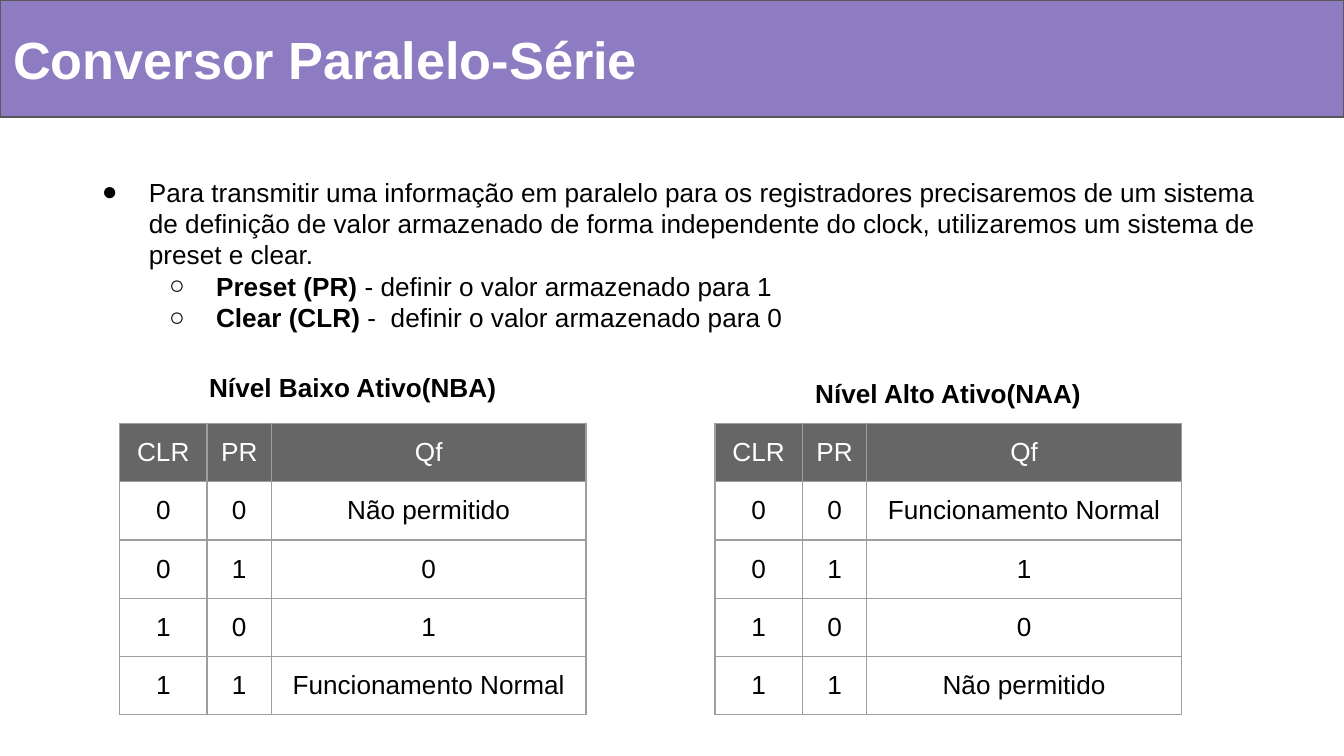
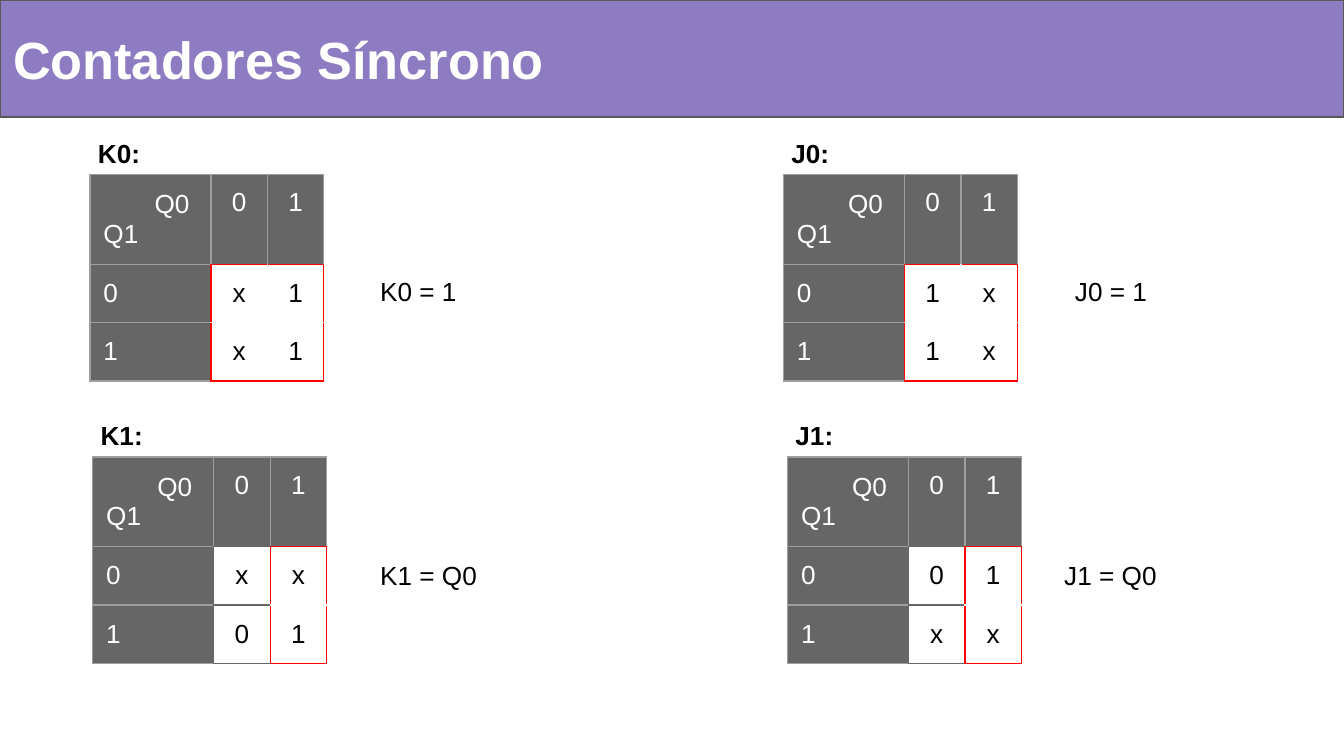
from lxml import etree
from pptx import Presentation
from pptx import util as u
from pptx.dml.color import RGBColor
from pptx.enum import shapes, text
from pptx.oxml import ns

FONT = "Arial"
PURPLE, DARK, GRAY = "8E7CC3", "595959", "666666"
WHITE, BLACK = "FFFFFF", "000000"
BORDERS = {"g": "9E9E9E", "d": GRAY, "r": "FF0000", "w": WHITE}
CENTER = text.PP_ALIGN.CENTER
TOP, MIDDLE = text.MSO_ANCHOR.TOP, text.MSO_ANCHOR.MIDDLE


def paint(fill, color):
    fill.solid()
    fill.fore_color.rgb = RGBColor.from_string(color)


def write(frame, content, lead="", size=14, color=BLACK, bold=False, align=None,
          indent=0, bullet=None, anchor=TOP):
    """Add one paragraph, with an optional bold lead, to a box or a cell."""
    frame.word_wrap = True
    frame.vertical_anchor = anchor
    frame.margin_left = frame.margin_right = u.Inches(0.1)
    frame.margin_top = frame.margin_bottom = u.Inches(0.1)
    paragraph = frame.paragraphs[0]
    if paragraph.runs:
        paragraph = frame.add_paragraph()
    paragraph.alignment = align
    paragraph.line_spacing = 1.0
    properties = paragraph._p.get_or_add_pPr()
    if indent:
        properties.set("marL", str(u.Inches(indent)))
    if bullet:
        properties.set("indent", str(u.Inches(-0.35)))
        bullet_color = etree.SubElement(properties, ns.qn("a:buClr"))
        etree.SubElement(bullet_color, ns.qn("a:srgbClr"), val=color)
        etree.SubElement(properties, ns.qn("a:buSzPts"), val=str(size * 100))
        etree.SubElement(properties, ns.qn("a:buFont"), typeface=FONT)
        etree.SubElement(properties, ns.qn("a:buChar"), char=bullet)
    for part, is_bold in ((lead, True), (content, bold)):
        if part:
            run = paragraph.add_run()
            run.text = part
            run.font.name, run.font.size, run.font.bold = FONT, u.Pt(size), is_bold
            paint(run.font.fill, color)


presentation = Presentation()
presentation.slide_width = u.Inches(10)
presentation.slide_height = u.Inches(10 * 9 / 16)

# Slides with their title bands
slides = []
for title in ("Conversor Paralelo-Série", "Contadores Síncrono"):
    slide = presentation.slides.add_slide(presentation.slide_layouts[6])
    band = slide.shapes.add_shape(shapes.MSO_SHAPE.RECTANGLE, 0, 0,
                                  u.Inches(10), u.Inches(0.87))
    band.shadow.inherit = False
    paint(band.fill, PURPLE)
    paint(band.line.fill, DARK)
    band.line.width = u.Pt(0.75)
    write(band.text_frame, title, size=28, color=WHITE, bold=True,
          align=text.PP_ALIGN.LEFT, anchor=MIDDLE)
    slides.append(slide)
preset_slide, counter_slide = slides

# Explanation of preset and clear
body = preset_slide.shapes.add_textbox(u.Inches(0.51), u.Inches(1.21),
                                       u.Inches(9.04), u.Inches(1.41)).text_frame
write(body, "Para transmitir uma informação em paralelo para os registradores "
      "precisaremos de um sistema de definição de valor armazenado de forma "
      "independente do clock, utilizaremos um sistema de preset e clear.",
      indent=0.5, bullet="●")
for lead, meaning in (("Preset (PR)", " - definir o valor armazenado para 1"),
                      ("Clear (CLR)", " -  definir o valor armazenado para 0")):
    write(body, meaning, lead=lead, indent=1, bullet="○")
    body.paragraphs[-1].level = 1

# Truth tables: left and the Qf column
tables = []
inputs = [("0", "0"), ("0", "1"), ("1", "0"), ("1", "1")]
for left, outputs in (
        (0.89, ["Não permitido", "0", "1", "Funcionamento Normal"]),
        (5.32, ["Funcionamento Normal", "1", "0", "Não permitido"])):
    rows = [("CLR", "PR", "Qf")]
    rows += [(*pair, output) for pair, output in zip(inputs, outputs)]
    tables.append((preset_slide, left, 3.15, (0.65, 0.48, 2.34),
                   (0.42, 0.43, 0.42, 0.42, 0.42), rows, [["gggg"] * 3] * 5))

# Karnaugh maps: border colours of each cell are left, right, top, bottom
whole_group = [("gggg", "gggr", "gggr"), ("grgg", "rwrw", "wrrw"),
               ("grgg", "rwwr", "wrwr")]
right_group = [("gggg", "gggd", "gggr"), ("gdgg", "drdd", "rrrw"),
               ("gdgg", "drdd", "rrwr")]
maps = [
    ("K0:", 0.67, 1.3, "x1", "x1", whole_group),
    ("K1:", 0.69, 3.4, "xx", "01", right_group),
    ("J0:", 5.83, 1.3, "1x", "1x", whole_group),
    ("J1:", 5.86, 3.4, "01", "xx", right_group),
]
for name, left, top, first, second, borders in maps:
    rows = [("Q0\nQ1", "0", "1"), ("0", *first), ("1", *second)]
    tables.append((counter_slide, left, top, (0.9, 0.42, 0.42),
                   (0.25, 0.32, 0.32), rows, borders))

# Draw all tables
for slide, left, top, widths, heights, rows, borders in tables:
    is_map = slide is counter_slide
    table = slide.shapes.add_table(
        len(rows), len(widths), u.Inches(left), u.Inches(top),
        u.Inches(sum(widths)), u.Inches(sum(heights))).table
    table.first_row = table.horz_banding = False
    for column, width in zip(table.columns, widths):
        column.width = u.Inches(width)
    for r, values in enumerate(rows):
        table.rows[r].height = u.Inches(heights[r])
        for c, value in enumerate(values):
            cell = table.cell(r, c)
            is_header = r == 0 or (is_map and c == 0)
            cell_properties = cell._tc.get_or_add_tcPr()
            for side, key in zip("LRTB", borders[r][c]):
                line = etree.SubElement(cell_properties, ns.qn(f"a:ln{side}"),
                                        w=str(u.Pt(0.75)))
                solid = etree.SubElement(line, ns.qn("a:solidFill"))
                etree.SubElement(solid, ns.qn("a:srgbClr"), val=BORDERS[key])
            if is_header:
                paint(cell.fill, GRAY)
            else:
                cell.fill.background()
            for part in value.split("\n"):
                write(cell.text_frame, part, color=WHITE if is_header else BLACK,
                      align=None if is_map and c == 0 else CENTER,
                      indent=0.38 if part == "Q0" else 0)
            cell.vertical_anchor = TOP if is_map and r == 0 and c else MIDDLE
            cell.margin_left = cell.margin_right = u.Inches(0.1)
            cell.margin_top = cell.margin_bottom = u.Inches(0.1)

# Table headings and simplified equations
labels = [
    (preset_slide, "Nível Baixo Ativo(NBA)", 0.89, 2.66, 3.47, 0.49, True, CENTER),
    (preset_slide, "Nível Alto Ativo(NAA)", 5.32, 2.71, 3.47, 0.49, True, CENTER),
    (counter_slide, "K0 = 1", 2.73, 1.95, 0.84, 0.44, False, None),
    (counter_slide, "J0 = 1", 7.9, 1.95, 0.84, 0.44, False, None),
    (counter_slide, "K1 = Q0", 2.73, 4.06, 1.12, 0.44, False, None),
    (counter_slide, "J1 = Q0", 7.82, 4.06, 1.12, 0.44, False, None),
]
labels += [(counter_slide, name, left - 0.04, top - 0.38, 1.78, 0.37, True, None)
           for name, left, top, *_ in maps]
for slide, label, left, top, width, height, bold, align in labels:
    box = slide.shapes.add_textbox(u.Inches(left), u.Inches(top),
                                   u.Inches(width), u.Inches(height))
    write(box.text_frame, label, bold=bold, align=align)

presentation.save("out.pptx")
